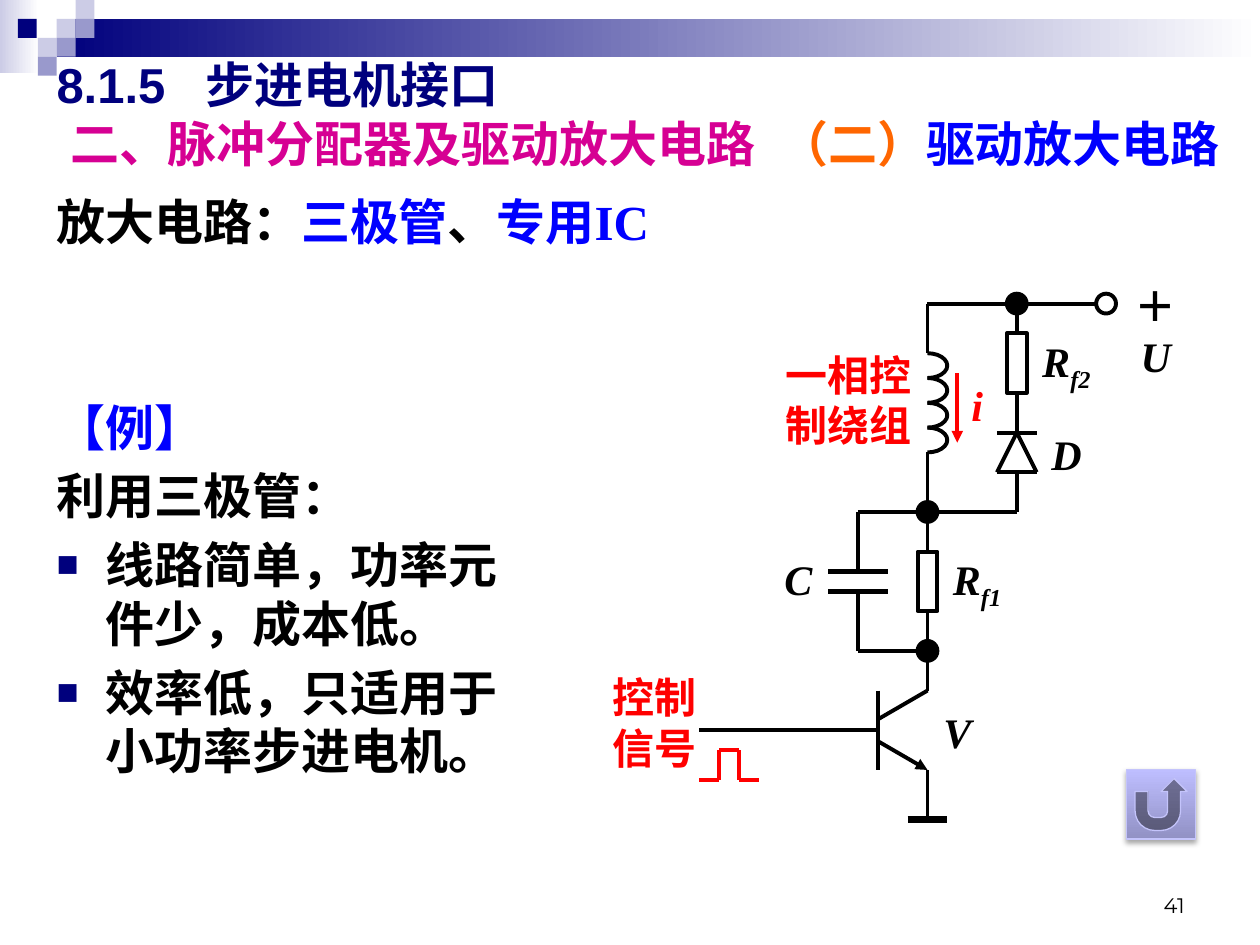
from lxml.etree import SubElement
from pptx import Presentation
from pptx.dml.color import RGBColor
from pptx.enum.shapes import MSO_CONNECTOR as LINE, MSO_SHAPE as SHAPE
from pptx.enum.text import MSO_ANCHOR as ANCHOR, PP_ALIGN as ALIGN
from pptx.oxml.ns import qn
from pptx.util import Pt

NAVY, BLUE, RED, BLACK, WHITE = "00007D", "0000FF", "FF0000", "000000", "FFFFFF"
LILAC, VIOLET = "CCCCE6", "9999CC"
SERIF = "Times New Roman"


def rgb(color):
    return RGBColor.from_string(color)


def add_form(slide, kind, box, fill=None, line=None, weight=2.25):
    form = slide.shapes.add_shape(kind, *map(Pt, box))
    form.shadow.inherit = False
    if fill is None:
        form.fill.background()
    elif isinstance(fill, str):
        form.fill.solid()
        form.fill.fore_color.rgb = rgb(fill)
    else:
        form.fill.gradient()
        form.fill.gradient_angle = fill[2]
        for stop, color in zip(form.fill.gradient_stops, fill):
            stop.color.rgb = rgb(color)
    if line:
        form.line.color.rgb = rgb(line)
        form.line.width = Pt(weight)
    else:
        form.line.fill.background()
    return form


def add_wire(slide, start, end, color=BLACK, weight=2.25, arrow=False):
    wire = slide.shapes.add_connector(LINE.STRAIGHT, *map(Pt, (*start, *end)))
    wire.line.color.rgb = rgb(color)
    wire.line.width = Pt(weight)
    properties = wire.element.spPr
    if arrow:
        SubElement(properties.find(qn("a:ln")), qn("a:tailEnd"), type="triangle")
    SubElement(properties, qn("a:effectLst"))
    return wire


def add_text(slide, box, paragraphs, size, font=SERIF, bold=True, align=ALIGN.LEFT, anchor=ANCHOR.TOP):
    frame = slide.shapes.add_textbox(*map(Pt, box)).text_frame
    frame.word_wrap = True
    frame.vertical_anchor = anchor
    for index, pieces in enumerate(paragraphs):
        paragraph = frame.add_paragraph() if index else frame.paragraphs[0]
        paragraph.alignment = align
        for wording, color, *style in pieces:
            for part, words in enumerate(wording.split("\v")):
                if part:
                    paragraph.add_line_break()
                run = paragraph.add_run()
                run.text = words
                run.font.size = Pt(size)
                run.font.name = font
                run.font.bold = bold
                run.font.italic = "italic" in style
                run.font.color.rgb = rgb(color)
                if "sub" in style:
                    run.font._element.set("baseline", "-25000")
    return frame


def add_tabs(paragraph, stops):
    tabs = SubElement(paragraph._p.get_or_add_pPr(), qn("a:tabLst"))
    for stop in stops:
        SubElement(tabs, qn("a:tab"), pos=str(Pt(stop)), algn="l")


def add_bullet(paragraph, indent):
    properties = paragraph._p.get_or_add_pPr()
    properties.set("marL", str(Pt(indent)))
    properties.set("indent", str(-Pt(indent)))
    SubElement(SubElement(properties, qn("a:buClr")), qn("a:srgbClr"), val=NAVY)
    SubElement(properties, qn("a:buSzPct"), val="75000")
    SubElement(properties, qn("a:buFont"), typeface="Arial")
    SubElement(properties, qn("a:buChar"), char="■")


def draw_header(slide, left, top, width, cell):
    add_form(slide, SHAPE.RECTANGLE, (left, top, 22.3, 41.8), (LILAC, WHITE, 0))
    add_form(slide, SHAPE.RECTANGLE, (left + 3 * cell, top + cell, width - 3 * cell, 2 * cell), (NAVY, WHITE, 0))
    tiles = [(3, 1, LILAC), (4, 0, LILAC), (4, 1, VIOLET), (2, 2, LILAC),
             (0.94, 1, NAVY), (3, 2, VIOLET), (2, 3, VIOLET)]
    for column, row, color in tiles:
        add_form(slide, SHAPE.RECTANGLE, (left + column * cell, top + row * cell, cell, cell), color)


def draw_title(slide, left, top, width, height):
    title = add_text(slide, (left, top, width, height), [
        [("8.1.5\t步进电机接口", NAVY)],
        [("\t二、脉冲分配器及驱动放大电路\t", "D60093"), ("（二）", "FF6600"), ("驱动放大电路", BLUE)],
    ], 28, "Arial")
    for paragraph, stops in zip(title.paragraphs, [(85,), (7.8, 413)]):
        add_tabs(paragraph, stops)


def draw_body(slide, left, top, width, height):
    add_text(slide, (left, top, width, 41), [
        [("放大电路：", BLACK), ("三极管", BLUE), ("、", BLACK), ("专用IC", BLUE)]], 28)
    example = add_text(slide, (left, top + 117.7, width, height - 117.7), [
        [("【例】", BLUE)],
        [("利用三极管：", BLACK)],
        [("线路简单，功率元\v件少，成本低。", BLACK)],
        [("效率低，只适用于\v小功率步进电机。", BLACK)],
    ], 28)
    for paragraph in example.paragraphs[1:]:
        paragraph.space_before = Pt(5.6)
    for paragraph in example.paragraphs[2:]:
        add_bullet(paragraph, 28.1)


def draw_circuit(slide, left, top, unit):
    def at(x, y):
        return left + x * unit, top + y * unit

    def area(x, y, width, height):
        return *at(x, y), width * unit, height * unit

    def route(*points, **style):
        return [add_wire(slide, at(*start), at(*end), **style)
                for start, end in zip(points, points[1:])]

    for turn in range(4):
        coil = add_form(slide, SHAPE.ARC, area(21, 5 + 2.5 * turn, 4, 2.5), line=BLACK)
        coil.adjustments[1] = 54

    resistor_f2 = add_form(slide, SHAPE.RECTANGLE, area(31, 3, 2, 6), line=BLACK)
    resistor_f1 = add_form(slide, SHAPE.RECTANGLE, area(22, 25, 2, 6), line=BLACK)
    route((32, 0), (32, 3))[0].end_connect(resistor_f2, 0)
    route((32, 13), (32, 9))[0].end_connect(resistor_f2, 2)
    route((23, 15), (23, 25))[0].end_connect(resistor_f1, 0)
    route((23, 39), (23, 31))[0].end_connect(resistor_f1, 2)

    route((30, 13), (34, 13))
    route((32, 13), (30, 17), (34, 17), (32, 13))
    route((23, 5), (23, 0), (41, 0))
    route((23, 21), (32, 21), (32, 17))
    route((16, 27), (16, 21), (23, 21))
    route((16, 29), (16, 35), (23, 35))
    for plate in (27, 29):
        route((13, plate), (19, plate), weight=3)

    route((18, 39), (18, 47))
    route((18, 41.9), (23, 39))
    route((18, 44.1), (23, 47), arrow=True)
    route((18, 43), (0, 43))
    route((23, 47), (23, 52))
    route((21, 52), (25, 52), weight=4.5)
    route((0, 48), (2, 48), (2, 45), (4, 45), (4, 48), (6, 48), color=RED)
    route((26, 7), (26, 14), color=RED, arrow=True)

    for x, y, fill in [(23, 21, BLACK), (23, 35, BLACK), (32, 0, BLACK), (41, 0, WHITE)]:
        add_form(slide, SHAPE.OVAL, area(x - 1, y - 1, 2, 2), fill, BLACK)

    labels = [
        (41, -3, 10, [("＋\v", BLACK), ("U", BLACK, "italic")]),
        (33, 2.6, 8, [("R", BLACK, "italic"), ("f2", BLACK, "italic", "sub")]),
        (24, 24.6, 8, [("R", BLACK, "italic"), ("f1", BLACK, "italic", "sub")]),
        (33, 12, 8, [("D", BLACK, "italic")]),
        (6, 24.6, 8, [("C", BLACK, "italic")]),
        (22, 40, 8, [("V", BLACK, "italic")]),
        (7, 4, 16, [("一相控\v制绕组", RED)]),
        (26, 7, 4, [("i", RED, "italic")]),
        (-11, 36.5, 13, [("控制\v信号", RED)]),
    ]
    for x, y, width, pieces in labels:
        add_text(slide, area(x, y, width, 6.4), [pieces], 24, align=ALIGN.CENTER)


def draw_return_button(slide, left, top, size):
    button = add_form(slide, SHAPE.ACTION_BUTTON_RETURN, (left, top, size, size),
                      ("9191C4", "BEBEFF", 90), "C4C4FB", 0.75)
    shadow = SubElement(button.element.spPr.find(qn("a:effectLst")), qn("a:outerShdw"),
                        blurRad=str(Pt(3.1)), dist=str(Pt(1.8)), dir="5400000", rotWithShape="0")
    SubElement(SubElement(shadow, qn("a:srgbClr"), val=BLACK), qn("a:alpha"), val="35000")


def main():
    deck = Presentation()
    deck.slide_width, deck.slide_height = Pt(720), Pt(540)
    slide = deck.slides.add_slide(deck.slide_layouts[6])
    draw_header(slide, 0, 0, 720, 10.8)
    add_text(slide, (516, 492, 168, 36), [[("41", BLACK)]], 12, "Montserrat", False, ALIGN.RIGHT, ANCHOR.BOTTOM)
    draw_body(slide, 25.2, 105.8, 680, 420)
    draw_title(slide, 25.2, 27.5, 686, 73.4)
    draw_circuit(slide, 399.6, 173.5, 5.67)
    draw_return_button(slide, 643.7, 439.9, 39.6)
    deck.save("out.pptx")


if __name__ == "__main__":
    main()
